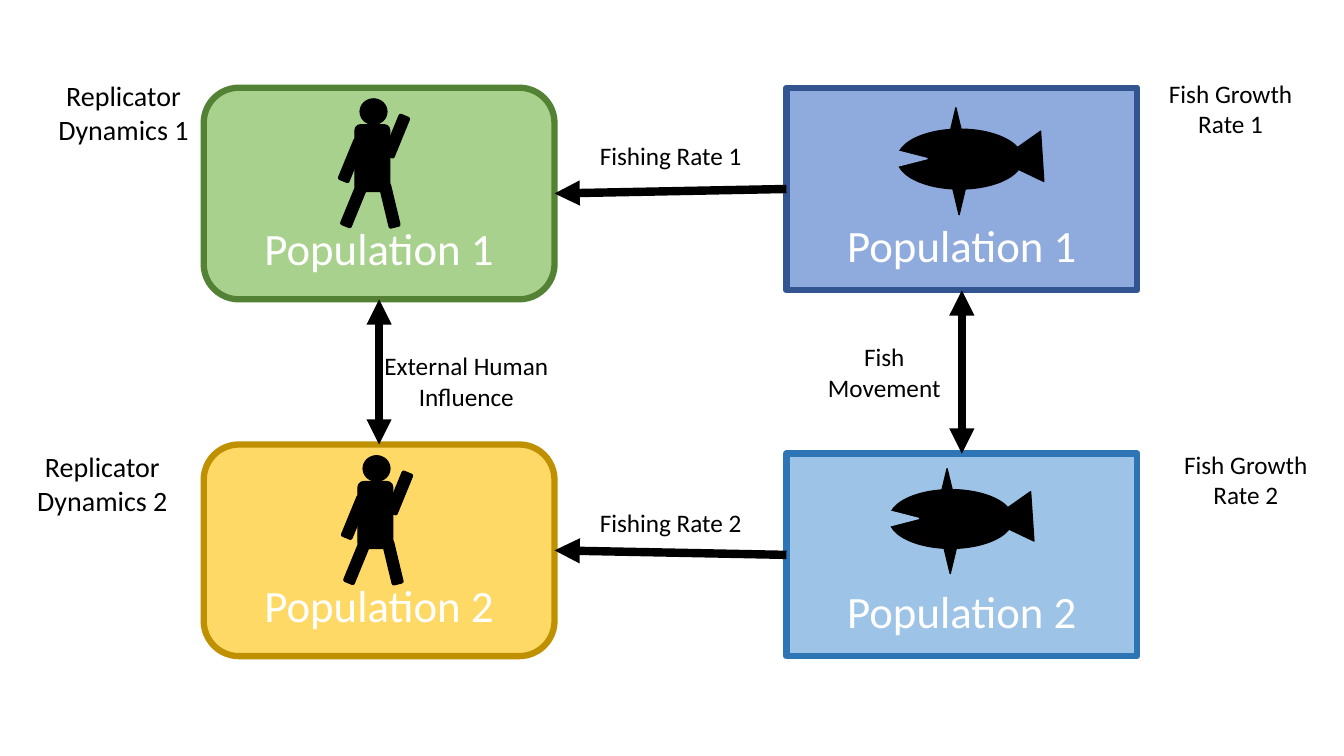
from collections import namedtuple

from lxml.etree import SubElement
from pptx import Presentation
from pptx.dml.color import RGBColor
from pptx.enum.shapes import MSO_CONNECTOR, MSO_SHAPE
from pptx.enum.text import MSO_ANCHOR, MSO_AUTO_SIZE, PP_ALIGN
from pptx.oxml.ns import qn
from pptx.util import Inches, Pt

COLUMNS, ROWS = 13.33, 7.5
COLUMN = ROW = Inches(1)
TOP, LEFT, BOTTOM, RIGHT = range(4)
COLORS = {
    "black": "000000", "white": "FFFFFF",
    "green": "A9D18E", "green edge": "548235",
    "yellow": "FFD966", "yellow edge": "BF9000",
    "indigo": "8FAADC", "indigo edge": "325491",
    "blue": "9DC3E6", "blue edge": "2E75B6",
}
Box = namedtuple("Box", "left top width height")
Part = namedtuple("Part", "kind box rotation color", defaults=(0, "black"))

PERSON_PARTS = [
    Part(MSO_SHAPE.OVAL, Box(0.25, 0, 0.48, 0.2)),
    Part(MSO_SHAPE.FLOWCHART_ALTERNATE_PROCESS, Box(0.16, 0.2, 0.62, 0.52)),
    Part(MSO_SHAPE.ROUNDED_RECTANGLE, Box(0.68, 0.66, 0.2, 0.34), 346.5),
    Part(MSO_SHAPE.ROUNDED_RECTANGLE, Box(0.04, 0.66, 0.2, 0.34), 22.3),
    Part(MSO_SHAPE.ROUNDED_RECTANGLE, Box(0.8, 0.12, 0.2, 0.34), 22.3),
    Part(MSO_SHAPE.ROUNDED_RECTANGLE, Box(0, 0.31, 0.2, 0.34), 22.3),
]


def fish_parts(water):
    triangle = MSO_SHAPE.ISOSCELES_TRIANGLE
    return [
        Part(MSO_SHAPE.OVAL, Box(0, 0.2, 0.79, 0.56)),
        Part(triangle, Box(0.69, 0.2, 0.31, 0.41), 25.5),
        Part(triangle, Box(0.34, 0.69, 0.1, 0.31), 180),
        Part(triangle, Box(0.04, 0.33, 0.1, 0.29), 90, water),
        Part(triangle, Box(0.32, 0, 0.1, 0.31)),
    ]


def color_of(name):
    return RGBColor.from_string(COLORS[name])


def apply_format(target, values):
    for name, value in values.items():
        setattr(target, name, value)


def on_grid(box):
    return [int(box.left * COLUMN), int(box.top * ROW),
            int(box.width * COLUMN), int(box.height * ROW)]


def inside(box, share):
    return Box(box.left + share.left * box.width, box.top + share.top * box.height,
               share.width * box.width, share.height * box.height)


def add_filled_shape(shapes, kind, box, fill, edge, edge_width):
    shape = shapes.add_shape(kind, *on_grid(box))
    shape.shadow.inherit = False
    shape.fill.solid()
    shape.fill.fore_color.rgb = color_of(fill)
    shape.line.color.rgb = color_of(edge)
    shape.line.width = Pt(edge_width)
    return shape


def write_text(shape, text, size, color, frame_format, alignment=PP_ALIGN.CENTER):
    apply_format(shape.text_frame, frame_format)
    paragraph = shape.text_frame.paragraphs[0]
    paragraph.alignment = alignment
    run = paragraph.add_run()
    run.text = text
    apply_format(run.font, {"name": "Calibri", "size": Pt(size)})
    run.font.color.rgb = color_of(color)


def add_population(slide, kind, box, color, text, bottom_margin):
    shape = add_filled_shape(slide.shapes, kind, box, color, f"{color} edge", 4.5)
    write_text(shape, text, 32, "white", {
        "word_wrap": True,
        "vertical_anchor": MSO_ANCHOR.BOTTOM,
        "margin_bottom": int(bottom_margin * ROW),
    })
    return shape


def add_figure(slide, box, parts, edge_width):
    group = slide.shapes.add_group_shape()
    for part in parts:
        shape = add_filled_shape(group.shapes, part.kind, inside(box, part.box),
                                 part.color, part.color, edge_width)
        shape.rotation = part.rotation


def add_arrow(slide, start, start_site, end, end_site, heads):
    connector = slide.shapes.add_connector(MSO_CONNECTOR.STRAIGHT, 0, 0, 0, 0)
    connector.begin_connect(start, start_site)
    connector.end_connect(end, end_site)
    connector.line.color.rgb = color_of("black")
    connector.line.width = Pt(6)
    line = connector.line._get_or_add_ln()
    for head in heads:
        SubElement(line, qn(f"a:{head}")).set("type", "triangle")
    SubElement(connector._element.spPr, qn("a:effectLst"))


def add_label(slide, box, text, size, wrap=True):
    label = slide.shapes.add_textbox(*on_grid(box))
    write_text(label, text, size, "black",
               {"word_wrap": wrap, "auto_size": MSO_AUTO_SIZE.SHAPE_TO_FIT_TEXT},
               PP_ALIGN.CENTER if wrap else PP_ALIGN.LEFT)


def add_populations(slide):
    people, fish = [], []
    for number, top, person_top, person_color, fish_top, fish_color in [
        (1, 0.87, 0.87, "green", 0.87, "indigo"),
        (2, 4.41, 4.41, "yellow", 4.5, "blue"),
    ]:
        text = f"Population {number}"
        people.append(add_population(slide, MSO_SHAPE.ROUNDED_RECTANGLE,
                                     Box(2.02, person_top, 3.48, 2.1),
                                     person_color, text, 0.14))
        fish.append(add_population(slide, MSO_SHAPE.RECTANGLE,
                                   Box(7.8, fish_top, 3.48, 2.01),
                                   fish_color, text, 0.19))
    return people, fish


def add_arrows(slide, people, fish):
    for person, school in zip(people, fish):
        add_arrow(slide, school, LEFT, person, RIGHT, ["tailEnd"])
    for upper, lower in (people, fish):
        add_arrow(slide, upper, BOTTOM, lower, TOP, ["headEnd", "tailEnd"])


def add_labels(slide):
    for number, top, rate_top, replicator_left, growth_left in [
        (1, 0.73, 1.34, 0.43, 11.41),
        (2, 4.41, 4.98, 0.22, 11.56),
    ]:
        add_label(slide, Box(replicator_left, top, 1.59, 0.77),
                  f"Replicator Dynamics {number}", 20)
        add_label(slide, Box(growth_left, top, 1.59, 0.71),
                  f"Fish Growth Rate {number}", 18)
        add_label(slide, Box(5.85, rate_top, 1.62, 0.4),
                  f"Fishing Rate {number}", 18, wrap=False)
    add_label(slide, Box(8.01, 3.34, 1.52, 0.71), "Fish Movement", 18)
    add_label(slide, Box(3.62, 3.43, 2.01, 0.71), "External Human Influence", 18)


def add_figures(slide):
    for left, top in [(3.43, 0.98), (3.46, 4.52)]:
        add_figure(slide, Box(left, top, 0.56, 1.28), PERSON_PARTS, 0.75)
    add_figure(slide, Box(8.9, 1.07, 1.57, 1.06), fish_parts("indigo"), 1)
    add_figure(slide, Box(8.82, 4.65, 1.55, 1.04), fish_parts("blue"), 1)


def main():
    presentation = Presentation()
    apply_format(presentation, {"slide_width": int(COLUMNS * COLUMN),
                                "slide_height": int(ROWS * ROW)})
    slide = presentation.slides.add_slide(presentation.slide_layouts[6])
    people, fish = add_populations(slide)
    add_arrows(slide, people, fish)
    add_labels(slide)
    add_figures(slide)
    presentation.save("out.pptx")


if __name__ == "__main__":
    main()
